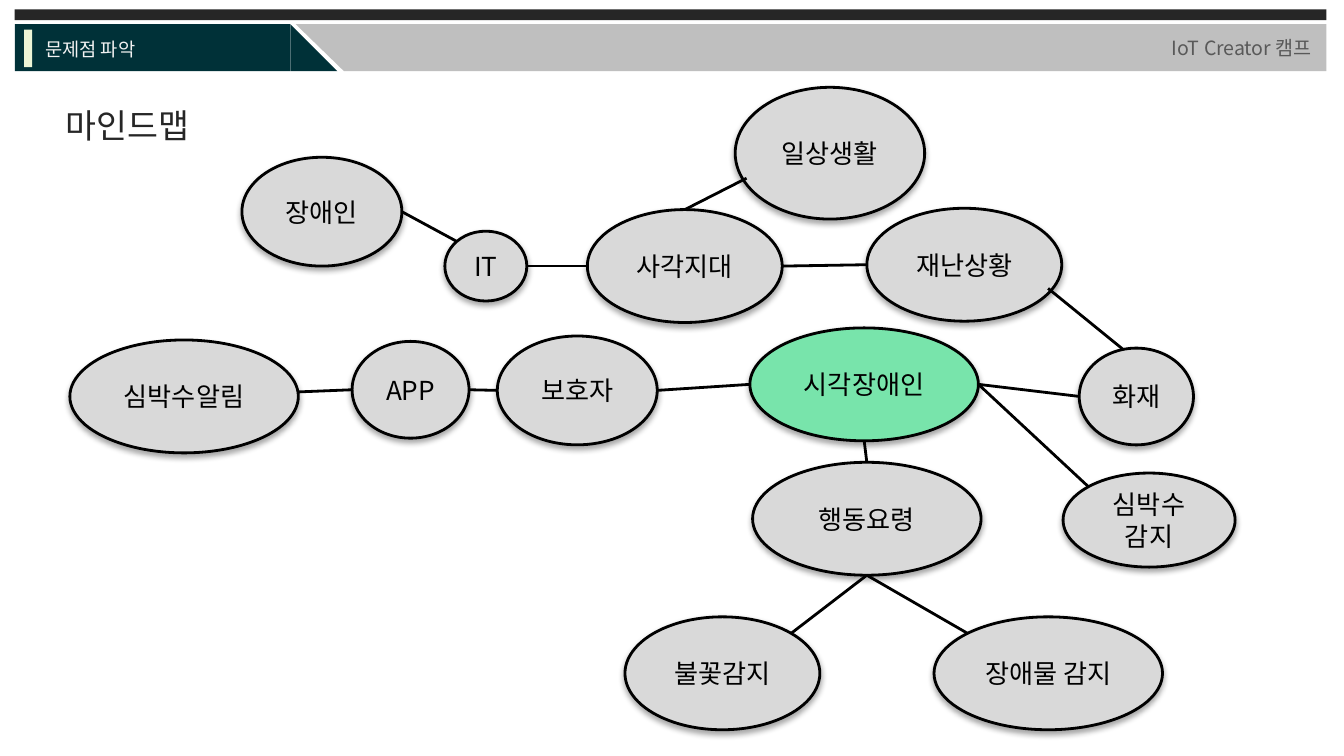
from lxml.etree import SubElement
from pptx import Presentation
from pptx.dml.color import RGBColor
from pptx.enum.shapes import MSO_CONNECTOR, MSO_SHAPE
from pptx.enum.text import MSO_ANCHOR, PP_ALIGN
from pptx.oxml import parse_xml
from pptx.oxml.ns import nsdecls, qn
from pptx.util import Inches, Pt

FONT = "Noto Sans CJK KR"
COLORS = {
    "black": "000000", "dark": "262626", "teal": "003138", "band": "BFBFBF",
    "cream": "ECF4D6", "light": "F2F2F2", "gray": "595959",
    "node": "D9D9D9", "center": "78E4AB",
}

# Label: left, top, width, height
NODES = {
    "장애인": (1.8, 1.17, 1.19, 0.81),
    "IT": (3.31, 1.72, 0.61, 0.52),
    "사각지대": (4.37, 1.56, 1.45, 0.84),
    "화재": (8.03, 2.59, 0.85, 0.72),
    "재난상황": (6.45, 1.55, 1.45, 0.84),
    "일상생활": (5.47, 0.65, 1.41, 0.98),
    "시각장애인": (5.58, 2.44, 1.7, 0.84),
    "심박수 감지": (7.91, 3.52, 1.28, 0.7),
    "행동요령": (5.6, 3.44, 1.7, 0.84),
    "장애물 감지": (6.95, 4.59, 1.7, 0.84),
    "불꽃감지": (4.65, 4.59, 1.45, 0.84),
    "보호자": (3.7, 2.5, 1.19, 0.81),
    "APP": (2.62, 2.54, 0.87, 0.72),
    "심박수알림": (0.52, 2.53, 1.7, 0.84),
}
CENTER_NODE = "시각장애인"

# Points on an ellipse as fractions of its width and height
SITES = {
    "left": (0, 0.5), "right": (1, 0.5), "top": (0.5, 0), "bottom": (0.5, 1),
    "top left": (0.15, 0.15), "top right": (0.85, 0.15),
    "upper top": (0.38, 0.01), "upper right": (1, 0.46),
    "lower left": (0.06, 0.69), "lower right": (0.93, 0.71),
}
LINKS = [
    ("장애인", "right", "IT", "top left"),
    ("IT", "right", "사각지대", "left"),
    ("사각지대", "right", "재난상황", "left"),
    ("사각지대", "top", "일상생활", "lower left"),
    ("재난상황", "lower right", "화재", "upper top"),
    ("시각장애인", "right", "화재", "left"),
    ("시각장애인", "right", "심박수 감지", "top left"),
    ("시각장애인", "bottom", "행동요령", "top"),
    ("행동요령", "bottom", "장애물 감지", "top left"),
    ("행동요령", "bottom", "불꽃감지", "top right"),
    ("시각장애인", "left", "보호자", "right"),
    ("APP", "right", "보호자", "left"),
    ("APP", "left", "심박수알림", "upper right"),
]


def color(name):
    return RGBColor.from_string(COLORS[name])


def write(frame, text, size, color_name, align=PP_ALIGN.LEFT):
    frame.word_wrap = True
    para = frame.paragraphs[0]
    para.alignment = align
    span = para.add_run()
    span.text = text
    for key, value in {"size": Pt(size), "name": FONT}.items():
        setattr(span.font, key, value)
    span.font.color.rgb = color(color_name)
    SubElement(span.font._element, qn("a:ea"), typeface=FONT)


def add_shape(slide, kind, place, fill, rotation=0):
    shape = slide.shapes.add_shape(kind, *map(Inches, place))
    shape.shadow.inherit = False
    shape.fill.solid()
    shape.fill.fore_color.rgb = color(fill)
    shape.line.fill.background()
    shape.rotation = rotation
    return shape


def add_text(slide, place, *text_format):
    box = slide.shapes.add_textbox(*map(Inches, place))
    write(box.text_frame, *text_format)


def add_soft_shadow(shape):
    effects = shape._element.spPr.find(qn("a:effectLst"))
    effects.append(parse_xml(
        f'<a:outerShdw {nsdecls("a")} blurRad="40000" dist="23000" '
        'dir="5400000" rotWithShape="0"><a:srgbClr val="000000">'
        '<a:alpha val="35000"/></a:srgbClr></a:outerShdw>'))


def add_node(slide, label, place):
    fill = "center" if label == CENTER_NODE else "node"
    node = add_shape(slide, MSO_SHAPE.OVAL, place, fill)
    node.line.color.rgb = color("black")
    node.line.width = Pt(1.5)
    add_soft_shadow(node)
    node.text_frame.vertical_anchor = MSO_ANCHOR.MIDDLE
    write(node.text_frame, label, 14, "black", PP_ALIGN.CENTER)


def site_point(label, site):
    left, top, width, height = NODES[label]
    across, down = SITES[site]
    return Inches(left + across * width), Inches(top + down * height)


def add_link(slide, start, start_site, end, end_site):
    link = slide.shapes.add_connector(
        MSO_CONNECTOR.STRAIGHT,
        *site_point(start, start_site), *site_point(end, end_site))
    link.line.color.rgb = color("black")
    link.line.width = Pt(1.5)
    SubElement(link._element.spPr, qn("a:effectLst"))


def add_header(slide):
    bar, corner = MSO_SHAPE.RECTANGLE, MSO_SHAPE.RIGHT_TRIANGLE
    add_shape(slide, bar, (0.11, 0.07, 9.76, 0.08), "dark")
    add_shape(slide, bar, (0.11, 0.18, 2.05, 0.35), "teal")
    add_shape(slide, corner, (2.16, 0.18, 0.35, 0.35), "teal")
    add_shape(slide, bar, (2.56, 0.18, 7.31, 0.35), "band")
    add_shape(slide, corner, (2.2, 0.18, 0.36, 0.35), "band", 180)
    add_text(slide, (0.24, 0.23, 1.5, 0.27), "문제점 파악", 10, "light")
    add_shape(slide, bar, (0.18, 0.22, 0.06, 0.28), "cream")
    add_text(slide, (8.62, 0.22, 2.68, 0.28), "IoT Creator 캠프", 10.5, "gray")


def main():
    # Widescreen page, 16 by 9
    deck = Presentation()
    deck.slide_width = Inches(10)
    deck.slide_height = Inches(10 * 9 / 16)
    slide = deck.slides.add_slide(deck.slide_layouts[6])

    # Header and title
    add_header(slide)
    add_text(slide, (-0.15, 0.73, 2.2, 0.4), "마인드맵", 18, "dark",
             PP_ALIGN.CENTER)

    # Mind map
    for label, place in NODES.items():
        add_node(slide, label, place)
    for link in LINKS:
        add_link(slide, *link)

    deck.save("out.pptx")


if __name__ == "__main__":
    main()
